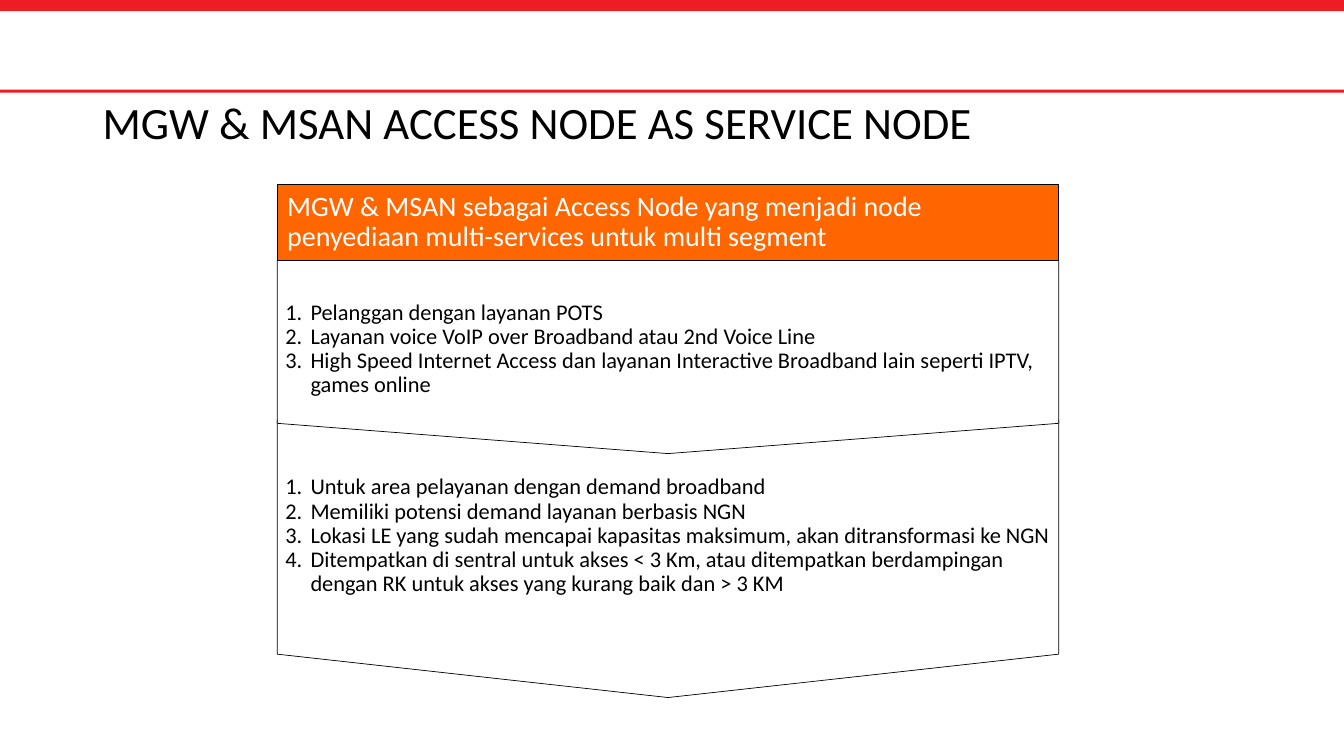
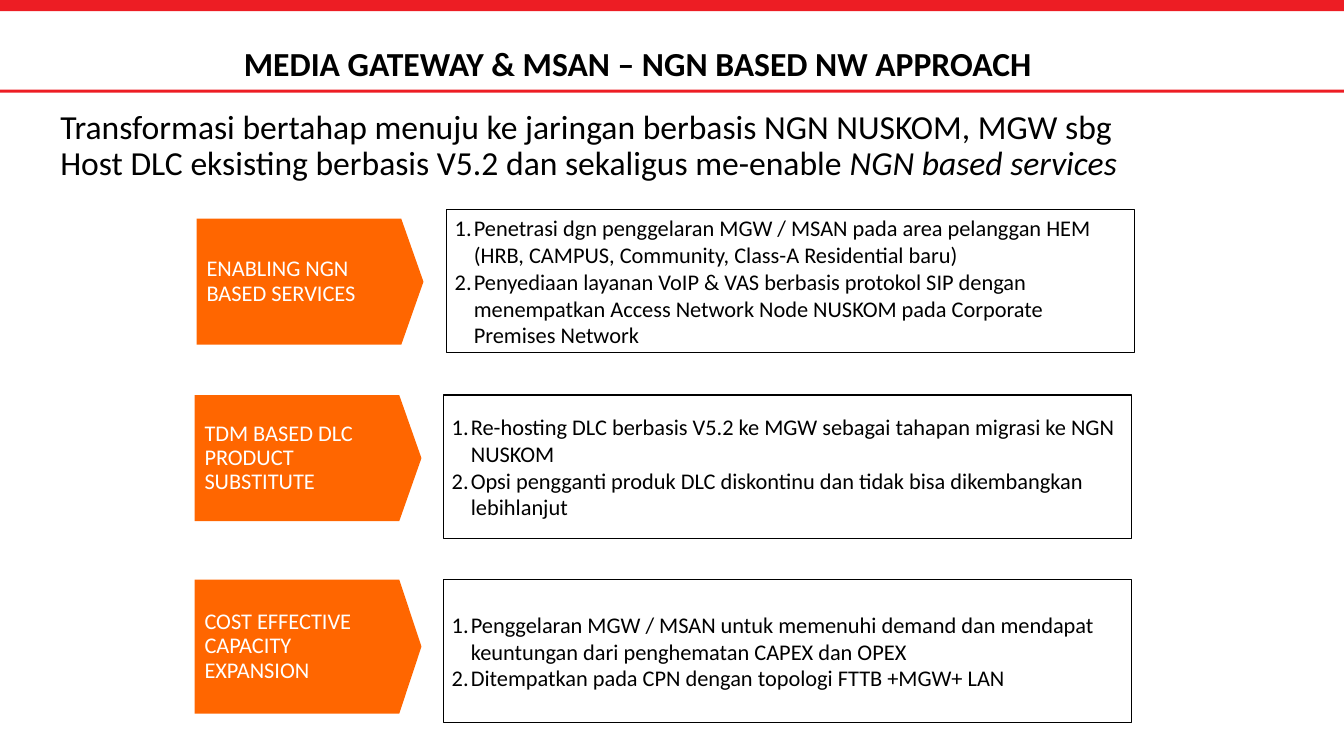
import pptx
import pptx.dml.color
import pptx.enum.shapes
import pptx.enum.text
import pptx.oxml
import pptx.oxml.ns
import pptx.util
from dataclasses import dataclass

Inches = pptx.util.Inches
Pt = pptx.util.Pt
SHAPE = pptx.enum.shapes.MSO_SHAPE


@dataclass(frozen=True)
class Theme:
    font: str = "Calibri"
    red: str = "ED1D24"
    orange: str = "FF6600"
    black: str = "000000"
    white: str = "FFFFFF"
    title: int = 32
    heading: int = 24
    banner: int = 20
    body: int = 16


class Deck:
    """Holds the style and the slide being drawn."""

    def __init__(self, theme):
        self.theme = theme
        self.file = pptx.Presentation()
        self.file.slide_width = Inches(13.33)
        self.file.slide_height = Inches(7.5)
        self.layout = self.file.slide_layouts[6]
        self.slide = None

    def new_slide(self):
        first = self.slide is None
        self.slide = self.file.slides.add_slide(self.layout)
        if first:
            self.share_bands()

    def share_bands(self):
        """Put the red bands on the layout, so that every slide shows them."""
        for top, height in ((0, 0.11), (0.89, 0.03)):
            band = self.shape(SHAPE.RECTANGLE, (0, top, 13.33, height), self.theme.red)
            self.layout.shapes.element.append(band.element)

    def shape(self, preset, box, fill, line_width=None):
        shape = self.slide.shapes.add_shape(preset, *map(Inches, box))
        shape.shadow.inherit = False
        shape.fill.solid()
        shape.fill.fore_color.rgb = pptx.dml.color.RGBColor.from_string(fill)
        if line_width is None:
            shape.line.fill.background()
        else:
            shape.line.color.rgb = pptx.dml.color.RGBColor.from_string(self.theme.black)
            shape.line.width = Pt(line_width)
        return shape

    def fill_text(self, shape, paragraphs, size, color, bold=False, spacing=0.9,
                  indent=None, insets=(0.1, 0.05, 0.1, 0.05)):
        """Fill a shape; a paragraph is a string or a list of (text, italic)."""
        frame = shape.text_frame
        left, top, right, bottom = map(Inches, insets)
        settings = {
            "word_wrap": True,
            "vertical_anchor": pptx.enum.text.MSO_ANCHOR.MIDDLE,
            "margin_left": left, "margin_top": top,
            "margin_right": right, "margin_bottom": bottom,
        }
        for name, value in settings.items():
            setattr(frame, name, value)
        for number, content in enumerate(paragraphs):
            paragraph = frame.add_paragraph() if number else frame.paragraphs[0]
            if indent:
                self.number(paragraph, indent)
            paragraph.alignment = pptx.enum.text.PP_ALIGN.LEFT
            paragraph.line_spacing = spacing
            runs = [(content, False)] if isinstance(content, str) else content
            for text, italic in runs:
                run = paragraph.add_run()
                run.text = text
                style = {"name": self.theme.font, "size": Pt(size),
                         "bold": bold, "italic": italic}
                for name, value in style.items():
                    setattr(run.font, name, value)
                run.font.color.rgb = pptx.dml.color.RGBColor.from_string(color)

    def number(self, paragraph, indent):
        properties = paragraph._p.get_or_add_pPr()
        properties.set("marL", str(Inches(indent)))
        properties.set("indent", str(-Inches(indent)))
        numbering = pptx.oxml.ns.qn("a:buAutoNum")
        properties.append(properties.makeelement(numbering, {"type": "arabicPeriod"}))

    def text(self, box, content, size, bold=False):
        holder = self.slide.shapes.add_textbox(*map(Inches, box))
        self.fill_text(holder, [content], size, self.theme.black, bold)

    def banner(self, box, content):
        banner = self.shape(SHAPE.RECTANGLE, box, self.theme.orange, 0.75)
        self.fill_text(banner, [content], self.theme.banner, self.theme.white)

    def pentagon(self, box, point, fill, line_width=None):
        pentagon = self.shape(SHAPE.PENTAGON, box, fill, line_width)
        pentagon.adjustments[0] = point / min(box[2:])
        return pentagon

    def label(self, box, content):
        label = self.pentagon(box, 0.22, self.theme.orange)
        self.fill_text(label, [content], self.theme.body, self.theme.white)

    def down_panel(self, box, point, items, lead=0.04):
        """A pentagon turned to point down, with its text kept upright."""
        left, top, width, height = box
        shift = (width - height) / 2
        panel = self.pentagon((left + shift, top - shift, height, width),
                              point, self.theme.white, 0.5)
        panel.rotation = 90
        self.fill_text(panel, items, self.theme.body, self.theme.black,
                       indent=0.25, insets=(lead, 0.08, 0.04, 0.08))
        body = panel.text_frame._txBody.bodyPr
        body.set("vert", "eaVert")
        body.set("rot", "10800000")

    def list_box(self, box, items):
        frame = self.shape(SHAPE.RECTANGLE, box, self.theme.white, 1)
        self.fill_text(frame, items, self.theme.body, self.theme.black,
                       spacing=1.0, indent=0.19, insets=(0.08,) * 4)


def service_node_slide(deck):
    deck.new_slide()
    deck.text((0.92, 1.01, 11.5, 0.46), "MGW & MSAN ACCESS NODE AS SERVICE NODE",
              deck.theme.title)

    # Lower panel first, so that the upper point lies over it
    left, width = 2.75, 7.75
    deck.down_panel((left, 4.17, width, 2.75), 0.43, [
        "Untuk area pelayanan dengan demand broadband",
        "Memiliki potensi demand layanan berbasis NGN",
        "Lokasi LE yang sudah mencapai kapasitas maksimum, akan ditransformasi ke NGN",
        "Ditempatkan di sentral untuk akses < 3 Km, atau ditempatkan berdampingan "
        "dengan RK untuk akses yang kurang baik dan > 3 KM",
    ], lead=0.28)
    deck.down_panel((left, 2.58, width, 1.92), 0.3, [
        "Pelanggan dengan layanan POTS",
        "Layanan voice VoIP over Broadband atau 2nd Voice Line",
        "High Speed Internet Access dan layanan Interactive Broadband lain seperti "
        "IPTV, games online",
    ])
    deck.banner((left, 1.83, width, 0.75),
                "MGW & MSAN sebagai Access Node yang menjadi node "
                "penyediaan multi-services untuk multi segment")


def approach_slide(deck):
    deck.new_slide()
    deck.text((2.32, 0.34, 9.75, 0.62), "MEDIA GATEWAY & MSAN – NGN BASED NW APPROACH",
              deck.theme.heading, bold=True)
    deck.text((0.5, 1.08, 11.17, 0.75), [
        ("Transformasi bertahap menuju ke jaringan berbasis NGN NUSKOM, MGW sbg "
         "Host DLC eksisting berbasis V5.2 dan sekaligus me-enable ", False),
        ("NGN based services", True),
    ], deck.theme.heading)

    # Each row: label place and height, list place, label, list items
    rows = [
        ((1.95, 2.17), 1.25, (4.43, 2.08), "ENABLING NGN BASED SERVICES", [
            "Penetrasi dgn penggelaran MGW / MSAN pada area pelanggan HEM "
            "(HRB, CAMPUS, Community, Class-A Residential baru)",
            "Penyediaan layanan VoIP & VAS berbasis protokol SIP dengan menempatkan "
            "Access Network Node NUSKOM pada Corporate Premises Network"]),
        ((1.93, 3.92), 1.25, (4.4, 3.92), "TDM BASED DLC PRODUCT SUBSTITUTE", [
            "Re-hosting DLC berbasis V5.2 ke MGW sebagai tahapan migrasi ke NGN NUSKOM",
            "Opsi pengganti produk DLC diskontinu dan tidak bisa dikembangkan "
            "lebihlanjut"]),
        ((1.93, 5.75), 1.33, (4.4, 5.75), "COST EFFECTIVE CAPACITY EXPANSION", [
            "Penggelaran MGW / MSAN untuk memenuhi demand dan mendapat keuntungan "
            "dari penghematan CAPEX dan OPEX",
            "Ditempatkan pada CPN dengan topologi FTTB +MGW+ LAN"]),
    ]
    for label_place, label_height, list_place, label, items in rows:
        deck.label((*label_place, 2.25, label_height), label)
        deck.list_box((*list_place, 6.82, 1.42), items)


def main():
    deck = Deck(Theme())
    service_node_slide(deck)
    approach_slide(deck)
    deck.file.save("out.pptx")


if __name__ == "__main__":
    main()
